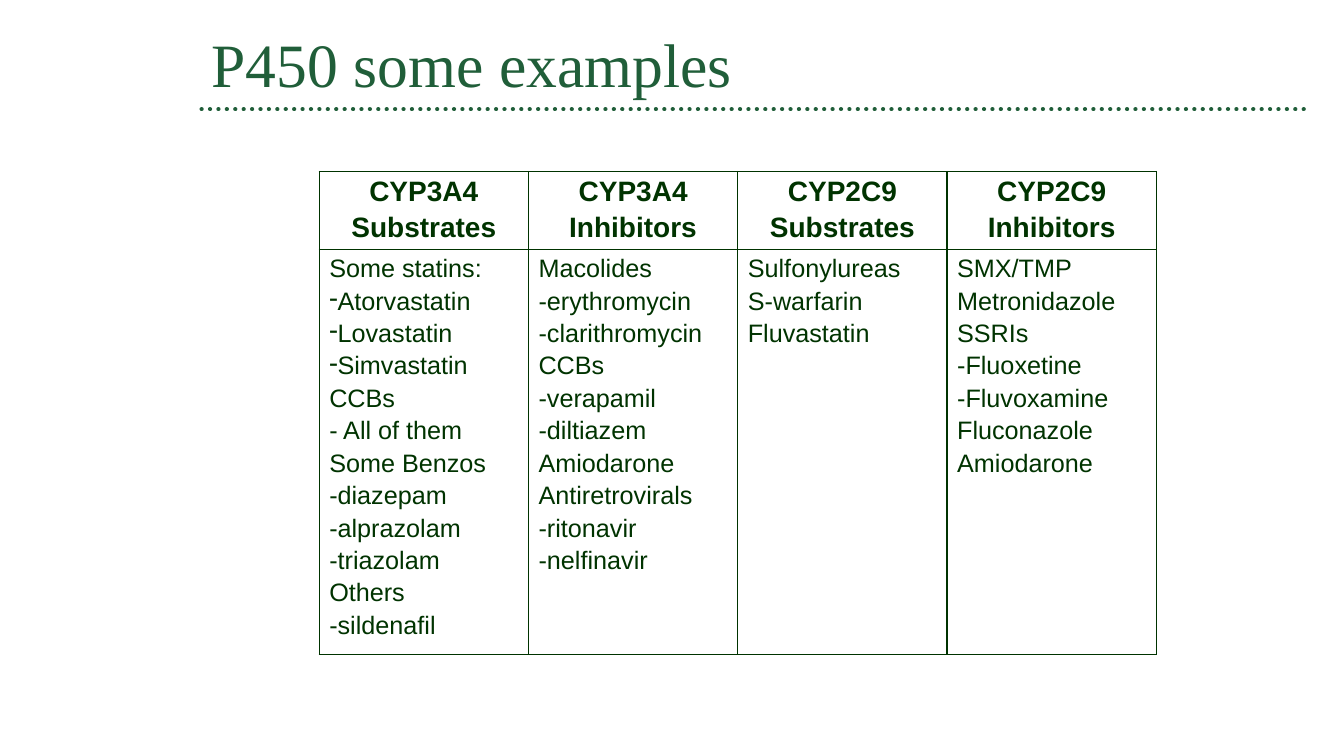
"""Build the slide that lists example P450 substrates and inhibitors."""
from dataclasses import dataclass

from lxml.etree import SubElement
from pptx import Presentation
from pptx.dml.color import RGBColor
from pptx.enum.dml import MSO_LINE
from pptx.enum.shapes import MSO_CONNECTOR
from pptx.enum.text import MSO_ANCHOR, PP_ALIGN
from pptx.oxml import parse_xml
from pptx.oxml.ns import nsdecls, qn
from pptx.slide import Slide
from pptx.table import _Cell as Cell
from pptx.text.text import _Paragraph as Paragraph
from pptx.util import Pt

TITLE_GREEN = RGBColor(0x20, 0x5E, 0x39)
DARK_GREEN = RGBColor(0x00, 0x33, 0x00)
LINE_GAP = Pt(3)
HEADING_HEIGHT, DRUGS_HEIGHT = Pt(56), Pt(289)
COLUMN_WIDTH = Pt(149.5)


@dataclass(frozen=True)
class Entry:
    text: str
    dashed: bool = False


@dataclass(frozen=True)
class EnzymeColumn:
    enzyme: str
    role: str
    drugs: tuple[str | Entry, ...]


ENZYME_COLUMNS = (
    EnzymeColumn("CYP3A4", "Substrates", (
        "Some statins:", Entry("Atorvastatin", True), Entry("Lovastatin", True),
        Entry("Simvastatin", True), "CCBs", "- All of them", "Some Benzos",
        "-diazepam", "-alprazolam", "-triazolam", "Others", "-sildenafil")),
    EnzymeColumn("CYP3A4", "Inhibitors", (
        "Macolides", "-erythromycin", "-clarithromycin", "CCBs", "-verapamil",
        "-diltiazem", "Amiodarone", "Antiretrovirals", "-ritonavir", "-nelfinavir")),
    EnzymeColumn("CYP2C9", "Substrates", ("Sulfonylureas", "S-warfarin", "Fluvastatin")),
    EnzymeColumn("CYP2C9", "Inhibitors", (
        "SMX/TMP", "Metronidazole", "SSRIs", "-Fluoxetine", "-Fluvoxamine",
        "Fluconazole", "Amiodarone")),
)


def add_styled_run(paragraph: Paragraph, text: str, font_name: str, size: float,
                   color: RGBColor, bold: bool = False) -> None:
    run = paragraph.add_run()
    run.text = text
    run.font.name = font_name
    run.font.size = Pt(size)
    run.font.bold = bold
    run.font.color.rgb = color


def add_dash_bullet(paragraph: Paragraph) -> None:
    properties = paragraph._p.get_or_add_pPr()
    properties.set("marL", "0")
    properties.set("indent", "0")
    bullet_color = SubElement(properties, qn("a:buClr"))
    SubElement(bullet_color, qn("a:srgbClr"), val=str(DARK_GREEN))
    SubElement(properties, qn("a:buChar"), char="-")


def outline_cell(cell: Cell) -> None:
    properties = cell._tc.get_or_add_tcPr()
    for edge in ("lnL", "lnR", "lnT", "lnB"):
        properties.append(parse_xml(
            f'<a:{edge} {nsdecls("a")} w="{Pt(1)}"><a:solidFill>'
            f'<a:srgbClr val="{DARK_GREEN}"/></a:solidFill></a:{edge}>'))
    cell.fill.background()


def fill_cell(cell: Cell, entries: tuple[str | Entry, ...], size: float,
              alignment: PP_ALIGN, bold: bool) -> None:
    outline_cell(cell)
    for index, item in enumerate(entries):
        entry = item if isinstance(item, Entry) else Entry(item)
        paragraph = cell.text_frame.add_paragraph() if index else cell.text_frame.paragraphs[0]
        paragraph.alignment = alignment
        if index:
            paragraph.space_before = LINE_GAP
        if entry.dashed:
            add_dash_bullet(paragraph)
        add_styled_run(paragraph, entry.text, "Arial", size, DARK_GREEN, bold)


def add_title_rule(slide: Slide) -> None:
    rule = slide.shapes.add_connector(MSO_CONNECTOR.STRAIGHT, Pt(144), Pt(78), Pt(936), Pt(78))
    rule.line.color.rgb = TITLE_GREEN
    rule.line.width = Pt(3)
    rule.line.dash_style = MSO_LINE.ROUND_DOT
    rule.line._get_or_add_ln().set("cap", "rnd")
    SubElement(rule._element.spPr, qn("a:effectLst"))


def format_title(slide: Slide) -> None:
    title = slide.shapes.title
    title.left, title.top, title.width, title.height = Pt(144), Pt(0), Pt(792), Pt(90)
    title.text_frame.vertical_anchor = MSO_ANCHOR.MIDDLE
    heading = title.text_frame.paragraphs[0]
    heading.alignment = PP_ALIGN.LEFT
    add_styled_run(heading, "P450 some examples", "Times New Roman", 44, TITLE_GREEN)


def add_enzyme_table(slide: Slide) -> None:
    table = slide.shapes.add_table(
        2, len(ENZYME_COLUMNS), Pt(228), Pt(122.4),
        COLUMN_WIDTH * len(ENZYME_COLUMNS), HEADING_HEIGHT + DRUGS_HEIGHT).table
    table.first_row = False
    table.horz_banding = False
    table.rows[0].height, table.rows[1].height = HEADING_HEIGHT, DRUGS_HEIGHT
    for index, column in enumerate(ENZYME_COLUMNS):
        table.columns[index].width = COLUMN_WIDTH
        fill_cell(table.cell(0, index), (column.enzyme, column.role), 20, PP_ALIGN.CENTER, True)
        fill_cell(table.cell(1, index), column.drugs, 18, PP_ALIGN.LEFT, False)


def main() -> None:
    presentation = Presentation()
    presentation.slide_width, presentation.slide_height = Pt(960), Pt(540)
    slide = presentation.slides.add_slide(presentation.slide_layouts.get_by_name("Title Only"))
    add_title_rule(slide)
    format_title(slide)
    add_enzyme_table(slide)
    presentation.save("out.pptx")


if __name__ == "__main__":
    main()
